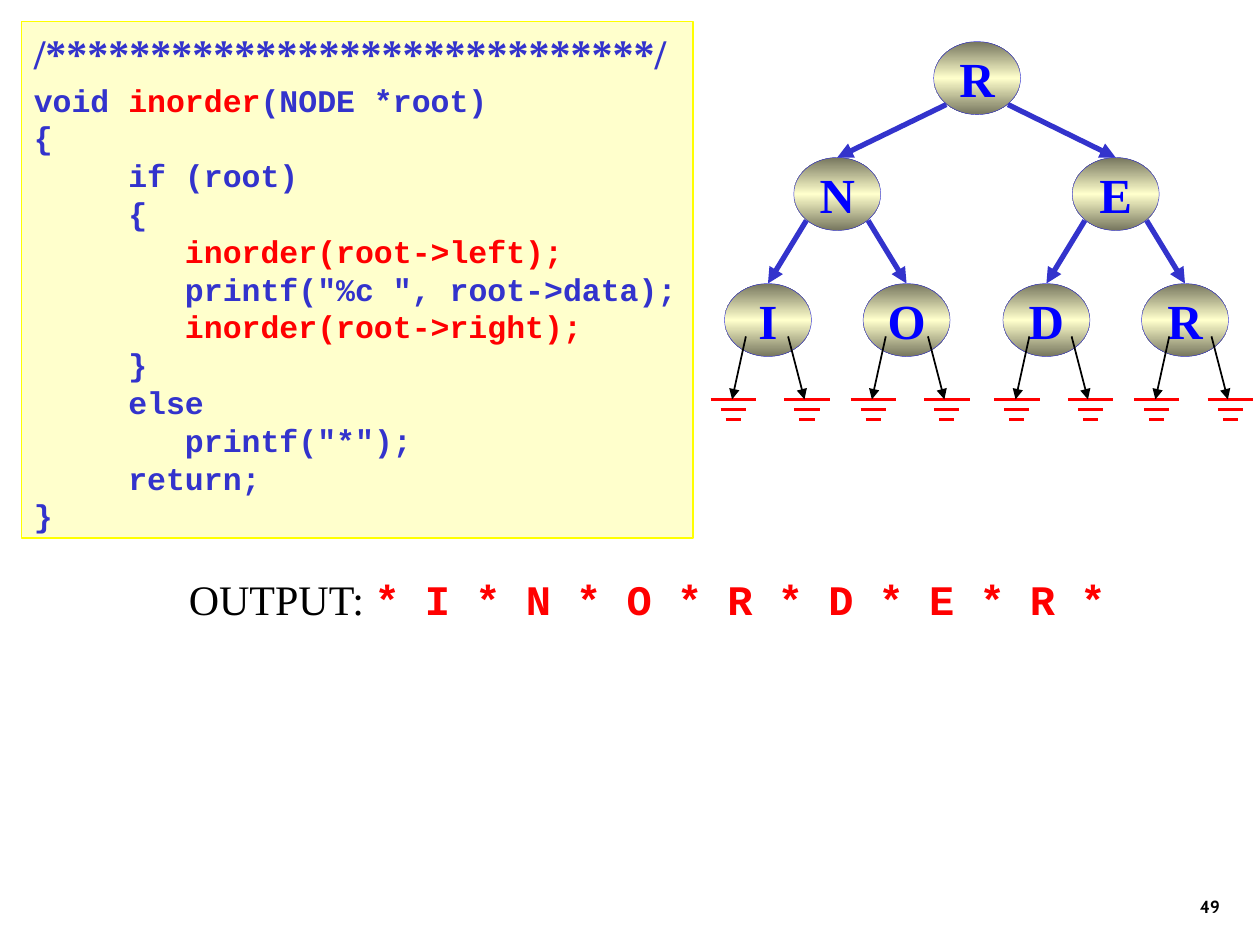
"""Build the inorder traversal slide with its code, tree and output."""
from copy import deepcopy

from pptx import Presentation
from pptx.dml.color import RGBColor
from pptx.enum.shapes import MSO_CONNECTOR as Connector, MSO_SHAPE as Shape
from pptx.enum.text import MSO_ANCHOR as Anchor, PP_ALIGN as Align
from pptx.oxml.ns import qn
from pptx.util import Inches, Pt
from lxml.etree import SubElement

BLACK = RGBColor(0x00, 0x00, 0x00)
RED = RGBColor(0xFF, 0x00, 0x00)
INDIGO = RGBColor(0x33, 0x33, 0xCC)
BLUE = RGBColor(0x00, 0x00, 0xFF)
CREAM = RGBColor(0xFF, 0xFF, 0xCC)
YELLOW = RGBColor(0xFF, 0xFF, 0x00)
OLIVE = RGBColor(0x76, 0x76, 0x5E)
SERIF, MONO = "Times New Roman", "Courier New"

deck = Presentation()
deck.slide_width, deck.slide_height = Inches(10), Inches(7.5)
page = deck.slides.add_slide(deck.slide_layouts[6])


def add_span(para, text, color, **formats):
    span = para.add_run()
    span.text = text
    span.font.color.rgb = color
    for name, value in formats.items():
        setattr(span.font, name, value)


def add_line(start, end, color, width, arrow=False):
    points = [Inches(value) for value in (*start, *end)]
    line = page.shapes.add_connector(Connector.STRAIGHT, *points)
    line.line.color.rgb = color
    line.line.width = Pt(width)
    properties = line._element.spPr
    if arrow:
        SubElement(properties.find(qn("a:ln")), qn("a:tailEnd"), type="triangle")
    SubElement(properties, qn("a:effectLst"))
    return line


number = page.shapes.add_textbox(Inches(7.7), Inches(6.83), Inches(2.08), Inches(0.5))
number.text_frame.word_wrap = True
number.text_frame.vertical_anchor = Anchor.BOTTOM
para = number.text_frame.paragraphs[0]
para.alignment = Align.RIGHT
add_span(para, "49", BLACK, name="Cabin", size=Pt(10), bold=True)

output = page.shapes.add_textbox(Inches(1.4), Inches(4.5), Inches(7.69), Inches(0.5))
output.text_frame.word_wrap = False
para = output.text_frame.paragraphs[0]
add_span(para, "OUTPUT: ", BLACK, name=SERIF, size=Pt(24))
add_span(para, "* I * N * O * R * D * E * R *", RED, name=MONO, size=Pt(24), bold=True)

code_lines = [
    [("void ", INDIGO), ("inorder", RED), ("(NODE *root)", INDIGO)],
    [("{", INDIGO)],
    [("     if (root)", INDIGO)],
    [("     {", INDIGO)],
    [("        ", INDIGO), ("inorder(root->left);", RED)],
    [('        printf("%c ", root->data);', INDIGO)],
    [("        ", INDIGO), ("inorder(root->right);", RED)],
    [("     }", INDIGO)],
    [("     else", INDIGO)],
    [('        printf("*");', INDIGO)],
    [("     return;", INDIGO)],
    [("}", INDIGO)],
]
code = page.shapes.add_shape(
    Shape.RECTANGLE, Inches(0.17), Inches(0.17), Inches(5.33), Inches(4.1))
code.shadow.inherit = False
code.fill.solid()
code.fill.fore_color.rgb = CREAM
code.line.color.rgb = YELLOW
code.line.width = Pt(0.75)
code.text_frame.word_wrap = True
code.text_frame.vertical_anchor = Anchor.TOP
para = code.text_frame.paragraphs[0]
para.alignment = Align.LEFT
para.line_spacing = Pt(28.8)
para.space_after = Pt(1.5)
add_span(para, "/*****************************/", INDIGO, name=SERIF, size=Pt(24), bold=True)
for spans in code_lines:
    para = code.text_frame.add_paragraph()
    para.alignment = Align.LEFT
    para.line_spacing = Pt(21.6)
    for text, color in spans:
        add_span(para, text, color, name=MONO, size=Pt(18), bold=True)

node_width, node_height = 0.69, 0.58
tree = [
    ("R", 7.41, 0.33),
    ("N", 6.3, 1.25), ("E", 8.51, 1.25),
    ("I", 5.75, 2.25), ("O", 6.85, 2.25), ("D", 7.96, 2.25), ("R", 9.06, 2.25),
]
nodes = []
for letter, left, top in tree:
    node = page.shapes.add_shape(
        Shape.OVAL, Inches(left), Inches(top), Inches(node_width), Inches(node_height))
    node.shadow.inherit = False
    node.fill.gradient()
    node.fill.gradient_angle = 90
    first_stop = node._element.spPr.find(".//" + qn("a:gs"))
    first_stop.addnext(deepcopy(first_stop))
    for stop, position, color in zip(
            node.fill.gradient_stops, (0, 0.5, 1), (OLIVE, CREAM, OLIVE)):
        stop.position = position
        stop.color.rgb = color
    node.line.color.rgb = INDIGO
    node.line.width = Pt(0.25)
    node.text_frame.word_wrap = False
    node.text_frame.vertical_anchor = Anchor.MIDDLE
    para = node.text_frame.paragraphs[0]
    para.alignment = Align.CENTER
    add_span(para, letter, BLUE, name=SERIF, size=Pt(28), bold=True)
    nodes.append(node)

for parent, (letter, left, top) in enumerate(tree[:3]):
    for side, inset in enumerate((0.1, 0.59)):
        child = 2 * parent + 1 + side
        target = (tree[child][1] + node_width / 2, tree[child][2])
        branch = add_line((left + inset, top + 0.5), target, INDIGO, 3, arrow=True)
        branch.end_connect(nodes[child], 0)

for pair_left in (5.64, 6.75, 7.89, 9):
    for shift, start, end in ((0, 0.28, 0.17), (0.585, 0.03, 0.16)):
        left = pair_left + shift
        for row, (inset, width) in enumerate(((0, 0.36), (0.08, 0.2), (0.12, 0.12))):
            height = 3.17 + 0.08 * row
            add_line((left + inset, height), (left + inset + width, height), RED, 2)
        add_line((left + start, 2.67), (left + end, 3.17), BLACK, 1, arrow=True)

deck.save("out.pptx")
